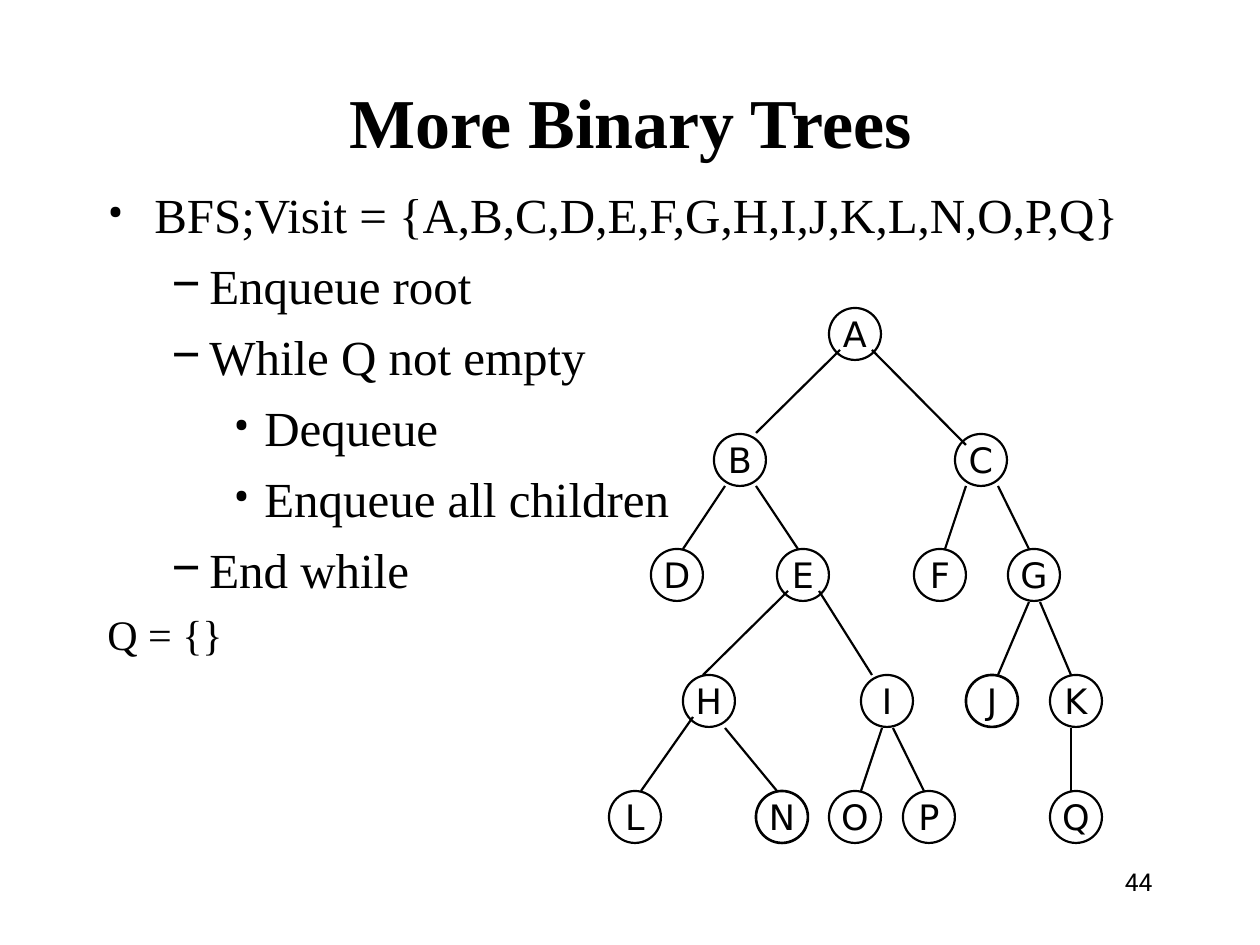
from lxml import etree
from pptx import Presentation
from pptx.dml.color import RGBColor
from pptx.enum.shapes import MSO_CONNECTOR, MSO_SHAPE
from pptx.enum.text import MSO_ANCHOR, MSO_AUTO_SIZE, PP_ALIGN
from pptx.oxml.ns import qn
from pptx.util import Pt

SCALE = 914400 / 126
BLACK = RGBColor(0, 0, 0)
STRAIGHT = MSO_CONNECTOR.STRAIGHT
OVAL = MSO_SHAPE.OVAL
MIDDLE = MSO_ANCHOR.MIDDLE
CENTER, RIGHT = PP_ALIGN.CENTER, PP_ALIGN.RIGHT
SERIF, NODE_FONT, SANS = "Times New Roman", "DejaVu Sans", "Roboto"
NODE_SIZE = 52


def px(*lengths):
    """Turn pixel lengths into EMU."""
    return [round(length * SCALE) for length in lengths]


def add_span(para, text, font, size, bold=False):
    span = para.add_run()
    span.text = text
    span.font.name = font
    span.font.size = Pt(size)
    span.font.bold = bold
    span.font.color.rgb = BLACK


deck = Presentation()
deck.slide_width, deck.slide_height = px(1260, 945)
page = deck.slides.add_slide(deck.slide_layouts[5])

title = page.shapes.title
title.left, title.top, title.width, title.height = px(95, 84, 1071, 74)
title.text_frame.auto_size = MSO_AUTO_SIZE.NONE
title.text_frame.vertical_anchor = MIDDLE
title_para = title.text_frame.paragraphs[0]
title_para.alignment = CENTER
add_span(title_para, "More Binary Trees", SERIF, 40, bold=True)

# Level, bullet, text and size of each line of the algorithm
STEPS = [
    (0, "•", "BFS;Visit = {A,B,C,D,E,F,G,H,I,J,K,L,N,O,P,Q}", 28),
    (1, "–", "Enqueue root", 28),
    (1, "–", "While Q not empty", 28),
    (2, "•", "Dequeue", 28),
    (2, "•", "Enqueue all children", 28),
    (1, "–", "End while", 28),
    (0, None, "Q = {}", 24),
]
INDENTS = [(47, -47), (102, -39), (157, -31)]  # left margin, first line

box = page.shapes.add_textbox(*px(95, 178, 1071, 661))
box.text_frame.word_wrap = True
for index, (level, bullet, text, size) in enumerate(STEPS):
    para = box.text_frame.paragraphs[0] if index == 0 else box.text_frame.add_paragraph()
    para.level = level
    add_span(para, text, SERIF, size)
    margin, first_line = px(*INDENTS[level])
    settings = para._p.get_or_add_pPr()
    settings.set("marL", str(margin))
    settings.set("indent", str(first_line))
    before = etree.SubElement(settings, qn("a:spcBef"))
    etree.SubElement(before, qn("a:spcPct")).set("val", "25000")
    if bullet:
        etree.SubElement(settings, qn("a:buFont")).set("typeface", SANS)
        etree.SubElement(settings, qn("a:buChar")).set("char", bullet)
    else:
        etree.SubElement(settings, qn("a:buNone"))

# Each tree row: top, then the left of each node
TREE_ROWS = [
    (308, {"A": 829}),
    (434, {"B": 714, "C": 955}),
    (549, {"D": 651, "E": 777, "F": 914, "G": 1008}),
    (675, {"H": 683, "I": 861, "J": 966, "K": 1050}),
    (791, {"L": 609, "N": 756, "O": 829, "P": 903, "Q": 1050}),
]
for top, nodes in TREE_ROWS:
    for letter, left in nodes.items():
        node = page.shapes.add_shape(OVAL, *px(left, top, NODE_SIZE, NODE_SIZE))
        node.shadow.inherit = False
        node.fill.background()
        node.line.color.rgb = BLACK
        node.line.width = Pt(1.5 if letter in "NJ" else 1.25)
        node.text_frame.word_wrap = False
        node.text_frame.vertical_anchor = MIDDLE
        node_para = node.text_frame.paragraphs[0]
        node_para.alignment = CENTER
        add_span(node_para, letter, NODE_FONT, 20)

# Parent end and child end of each branch, row by row
BRANCHES = [
    (840, 350, 756, 433), (872, 350, 966, 445),
    (725, 486, 683, 549), (756, 486, 798, 549),
    (966, 486, 945, 549), (998, 486, 1029, 549),
    (788, 591, 703, 675), (819, 591, 872, 675),
    (1029, 602, 998, 675), (1040, 602, 1071, 675),
    (693, 717, 641, 791), (725, 728, 777, 791),
    (882, 728, 861, 791), (893, 728, 924, 791),
    (1071, 728, 1071, 791),
]
for ends in BRANCHES:
    branch = page.shapes.add_connector(STRAIGHT, *px(*ends))
    branch.line.color.rgb = BLACK
    branch.line.width = Pt(1.25)
    etree.SubElement(branch._element.spPr, qn("a:effectLst"))

number = page.shapes.add_textbox(*px(903, 861, 262, 63))
number.text_frame.word_wrap = True
number_para = number.text_frame.paragraphs[0]
number_para.alignment = RIGHT
add_span(number_para, "44", SANS, 14)

deck.save("out.pptx")
